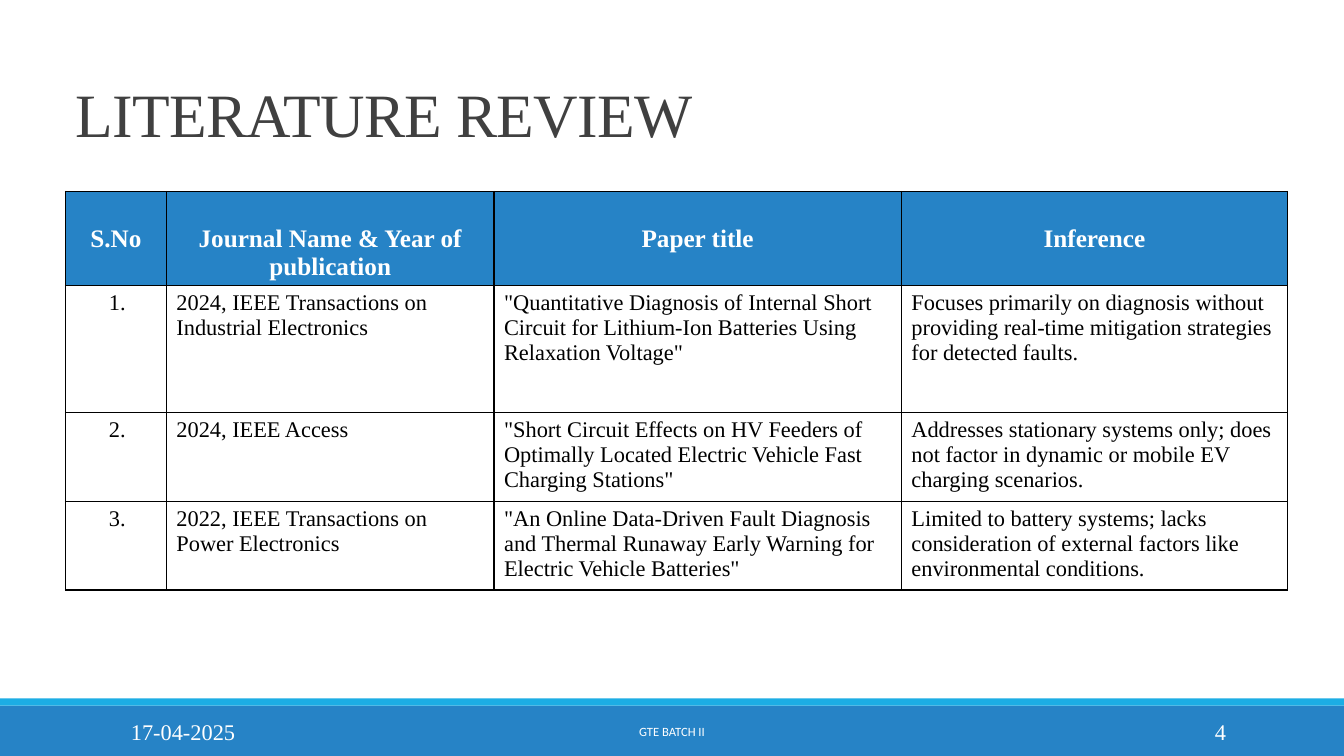
from pptx import Presentation
from pptx.dml.color import RGBColor
from pptx.enum.shapes import MSO_SHAPE as Shape
from pptx.enum.text import MSO_ANCHOR as Anchor, MSO_AUTO_SIZE as AutoSize, PP_ALIGN as Align
from pptx.oxml import parse_xml
from pptx.oxml.ns import nsdecls
from pptx.util import Inches, Pt

TITLE = "LITERATURE REVIEW"
HEADERS = ["S.No", "Journal Name & Year of publication", "Paper title", "Inference"]
PAPERS = [
    ("1.", "2024, IEEE Transactions on Industrial Electronics",
     '"Quantitative Diagnosis of Internal Short Circuit for Lithium-Ion Batteries Using Relaxation Voltage"',
     "Focuses primarily on diagnosis without providing real-time mitigation strategies for detected faults."),
    ("2.", "2024, IEEE Access",
     '"Short Circuit Effects on HV Feeders of Optimally Located Electric Vehicle Fast Charging Stations"',
     "Addresses stationary systems only; does not factor in dynamic or mobile EV charging scenarios."),
    ("3.", "2022, IEEE Transactions on Power Electronics",
     '"An Online Data-Driven Fault Diagnosis and Thermal Runaway Early Warning for Electric Vehicle Batteries"',
     "Limited to battery systems; lacks consideration of external factors like environmental conditions."),
]
COLUMN_WIDTHS = [1, 3.25, 4.04, 3.83]
ROW_HEIGHTS = [0.93, 1.26, 0.88, 0.88]
TABLE_LEFT, TABLE_TOP = 0.65, 1.9
HEADER_DROP = 0.33
NUMBER_INDENT = 0.43

THEME = {
    "blue": RGBColor(0x26, 0x83, 0xC6),
    "cyan": RGBColor(0x1C, 0xAD, 0xE4),
    "white": RGBColor(255, 255, 255),
    "black": RGBColor(0, 0, 0),
    "gray": RGBColor(0x40, 0x40, 0x40),
    "serif": "Times New Roman",
    "sans": "Calibri",
    "title": Pt(44), "header": Pt(18), "body": Pt(16), "footer": Pt(9),
    "border": Pt(1),
}


def font_format(size, color, name="serif", bold=False):
    return {"size": THEME[size], "name": THEME[name], "bold": bold, "color": THEME[color]}


STYLES = {
    "title": font_format("title", "gray"),
    "header": font_format("header", "white", bold=True),
    "body": font_format("body", "black"),
    "marker": font_format("body", "white"),
    "footer": font_format("footer", "white", "sans"),
}

# text, left, width, alignment, style
FOOTER_ITEMS = [
    ("17-04-2025", 1.2, 2.7, Align.LEFT, "marker"),
    ("4", 10.83, 1.43, Align.RIGHT, "marker"),
    ("GTE BATCH II", 4.03, 5.27, Align.CENTER, "footer"),
]
# top, height, colour
BANDS = [(7, 0.5, "blue"), (6.93, 0.07, "cyan")]


def write(frame, text, style, alignment=Align.LEFT):
    para = frame.paragraphs[0]
    para.alignment = alignment
    span = para.add_run()
    span.text = text
    for key, value in STYLES[style].items():
        if key == "color":
            span.font.color.rgb = value
        else:
            setattr(span.font, key, value)
    return para, span


def add_title(page):
    title = page.shapes.title
    title.left, title.top, title.width, title.height = map(Inches, (0.65, -0.05, 11, 1.59))
    frame = title.text_frame
    frame.auto_size = AutoSize.NONE
    frame.vertical_anchor = Anchor.BOTTOM
    para, span = write(frame, TITLE, "title")
    para.line_spacing = 0.85
    span._r.get_or_add_rPr().set("spc", "-50")


def add_borders(cell):
    properties = cell._tc.get_or_add_tcPr()
    for side in ("lnL", "lnR", "lnT", "lnB"):
        properties.append(parse_xml(
            f'<a:{side} {nsdecls("a")} w="{THEME["border"]}"><a:solidFill>'
            f'<a:srgbClr val="{THEME["black"]}"/></a:solidFill></a:{side}>'))


def add_review_table(page):
    table = page.shapes.add_table(
        len(ROW_HEIGHTS), len(COLUMN_WIDTHS), Inches(TABLE_LEFT), Inches(TABLE_TOP),
        Inches(sum(COLUMN_WIDTHS)), Inches(sum(ROW_HEIGHTS))).table
    table.horz_banding = False
    for column, width in zip(table.columns, COLUMN_WIDTHS):
        column.width = Inches(width)
    for row, height in zip(table.rows, ROW_HEIGHTS):
        row.height = Inches(height)
    for i, texts in enumerate([HEADERS, *PAPERS]):
        is_header = i == 0
        for j, text in enumerate(texts):
            cell = table.cell(i, j)
            add_borders(cell)
            cell.fill.solid()
            cell.fill.fore_color.rgb = THEME["blue" if is_header else "white"]
            cell.vertical_anchor = Anchor.MIDDLE if is_header else Anchor.TOP
            if is_header:
                write(cell.text_frame, text, "header", Align.CENTER)
            else:
                write(cell.text_frame, text, "body")
                if j == 0:
                    cell.margin_left = Inches(NUMBER_INDENT)
    table.cell(0, 1).margin_top = Inches(HEADER_DROP)


def add_footer(page, page_width):
    for top, height, color in BANDS:
        band = page.shapes.add_shape(Shape.RECTANGLE, 0, Inches(top), page_width, Inches(height))
        band.shadow.inherit = False
        band.fill.solid()
        band.fill.fore_color.rgb = THEME[color]
        band.line.fill.background()
    for text, left, width, alignment, style in FOOTER_ITEMS:
        box = page.shapes.add_textbox(Inches(left), Inches(7.06), Inches(width), Inches(0.4))
        box.text_frame.word_wrap = True
        box.text_frame.vertical_anchor = Anchor.MIDDLE
        write(box.text_frame, text, style, alignment)


def main():
    deck = Presentation()
    deck.slide_width, deck.slide_height = Inches(13.33), Inches(7.5)
    page = deck.slides.add_slide(deck.slide_layouts.get_by_name("Title Only"))
    add_title(page)
    add_review_table(page)
    add_footer(page, deck.slide_width)
    deck.save("out.pptx")


if __name__ == "__main__":
    main()
